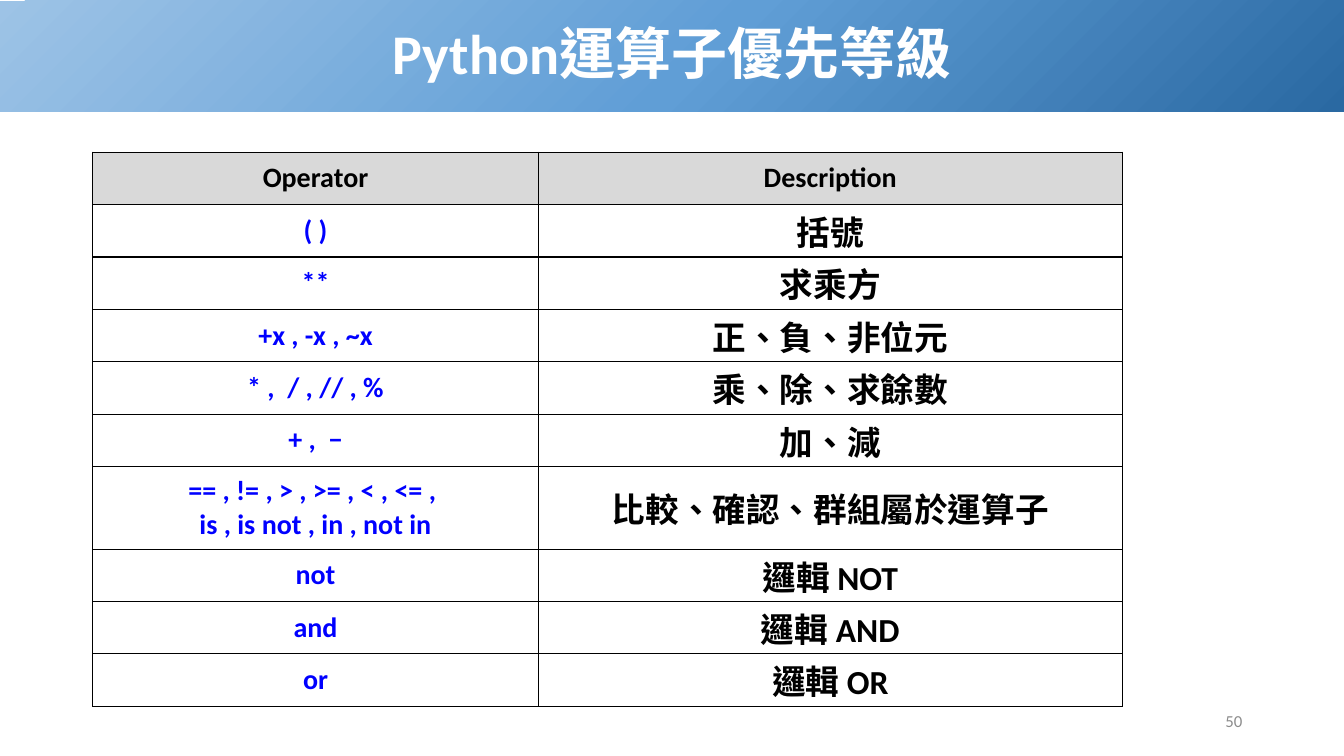
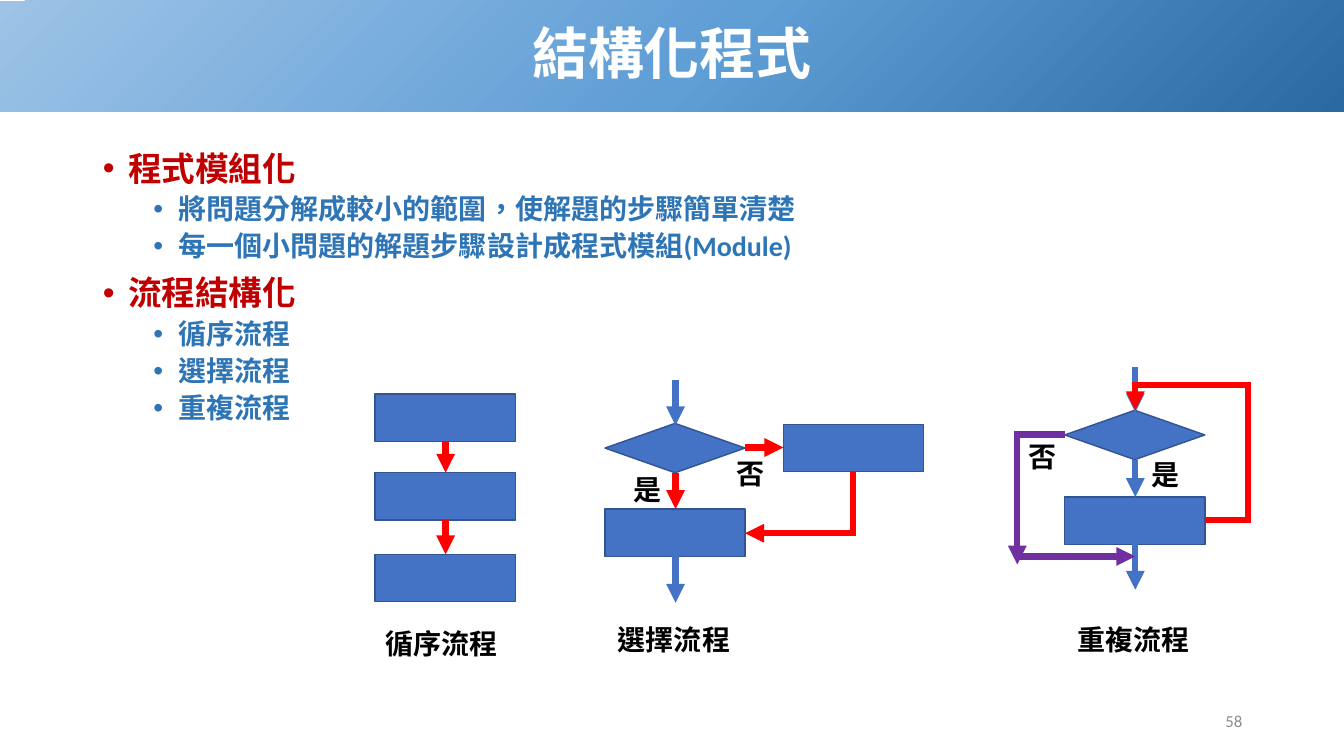
from pptx import Presentation
from pptx.dml.color import RGBColor
from pptx.enum.shapes import MSO_CONNECTOR as Connector, MSO_SHAPE as Shape
from pptx.enum.text import MSO_ANCHOR as Anchor, MSO_AUTO_SIZE as AutoSize, PP_ALIGN as Align
from pptx.oxml import parse_xml
from pptx.oxml.ns import nsdecls, qn
from pptx.util import Pt

PX = 9144
SLIDE_WIDTH, SLIDE_HEIGHT = 1333, 750
LATIN, CJK = "Calibri", "Noto Sans CJK SC"
WHITE = RGBColor(0xFF, 0xFF, 0xFF)
BLACK = RGBColor(0x00, 0x00, 0x00)
GRAY = RGBColor(0x8C, 0x8C, 0x8C)
HEADER_FILL = RGBColor(0xD9, 0xD9, 0xD9)
OPERATOR_BLUE = RGBColor(0x00, 0x00, 0xFF)
TOPIC_RED = RGBColor(0xC0, 0x00, 0x00)
DETAIL_BLUE = RGBColor(0x2E, 0x75, 0xB6)
NODE_FILL = RGBColor(0x44, 0x72, 0xC4)
NODE_LINE = RGBColor(0x32, 0x54, 0x91)
FLOW_RED = RGBColor(0xFF, 0x00, 0x00)
EXIT_PURPLE = RGBColor(0x70, 0x30, 0xA0)
BAND_STOPS = (
    (0, RGBColor(0x2A, 0x69, 0xA2)),
    (48, RGBColor(0x60, 0x9E, 0xD6)),
    (100, RGBColor(0x9D, 0xC3, 0xE6)),
)
NODE_WIDTH, NODE_HEIGHT, DECISION_HEIGHT = 139, 47, 49
AXIS = 70

OPERATORS = (
    ("Operator", "Description"),
    ("( )", "括號"),
    ("**", "求乘方"),
    ("+x , -x , ~x", "正、負、非位元"),
    ("* ,  / , // , %", "乘、除、求餘數"),
    ("+ ,  −", "加、減"),
    ("== , != , > , >= , < , <= , \nis , is not , in , not in", "比較、確認、群組屬於運算子"),
    ("not", "邏輯 NOT"),
    ("and", "邏輯 AND"),
    ("or", "邏輯 OR"),
)
OUTLINE = (
    ("程式模組化", (
        "將問題分解成較小的範圍，使解題的步驟簡單清楚",
        "每一個小問題的解題步驟設計成程式模組(Module)",
    )),
    ("流程結構化", ("循序流程", "選擇流程", "重複流程")),
)


def emu(*lengths):
    return [length * PX for length in lengths]


def xml(tag, attributes="", content=""):
    return parse_xml(f"<a:{tag} {nsdecls('a')} {attributes}>{content}</a:{tag}>")


def add_span(para, text, size, color, bold=True, face=LATIN):
    span = para.add_run()
    span.text = text
    font = span.font
    font.size, font.bold, font.name = Pt(size), bold, face
    font.color.rgb = color
    properties = span.font._element
    properties.set("lang", "zh-TW")
    properties.find(qn("a:latin")).addnext(xml("ea", f'typeface="{CJK}"'))


def place(item, left, top, width, height):
    item.left, item.top, item.width, item.height = emu(left, top, width, height)


def add_title(page, text):
    title = page.shapes.title
    place(title, 0, 1, SLIDE_WIDTH, 110)
    stops = "".join(
        f'<a:gs pos="{position * 1000}"><a:srgbClr val="{color}"/></a:gs>'
        for position, color in BAND_STOPS
    )
    title.element.spPr.append(xml(
        "gradFill", 'rotWithShape="1"',
        f'<a:gsLst>{stops}</a:gsLst>'
        '<a:path path="circle"><a:fillToRect l="100000" t="100000"/></a:path>'
        '<a:tileRect r="-100000" b="-100000"/>',
    ))
    frame = title.text_frame
    frame.auto_size = AutoSize.NONE
    frame.vertical_anchor = Anchor.MIDDLE
    para = frame.paragraphs[0]
    para.alignment, para.line_spacing = Align.CENTER, 0.9
    add_span(para, text, 40, WHITE)


def add_page_number(page, number):
    box = page.shapes.add_textbox(*emu(942, 695, 300, 40))
    frame = box.text_frame
    frame.word_wrap = True
    frame.vertical_anchor = Anchor.MIDDLE
    para = frame.paragraphs[0]
    para.alignment = Align.RIGHT
    add_span(para, str(number), 12, GRAY, bold=False)


def add_page(deck, layout, title, number):
    page = deck.slides.add_slide(deck.slide_layouts[layout])
    add_title(page, title)
    add_page_number(page, number)
    return page


def fill_cell(cell, text, size, color, fill):
    cell.margin_left = cell.margin_right = 4 * PX
    cell.margin_top = cell.margin_bottom = 2 * PX
    cell.vertical_anchor = Anchor.MIDDLE
    properties = cell._tc.get_or_add_tcPr()
    for side in ("lnL", "lnR", "lnT", "lnB"):
        properties.append(xml(
            side, f'w="{Pt(1)}"',
            f'<a:solidFill><a:srgbClr val="{BLACK}"/></a:solidFill>',
        ))
    cell.fill.solid()
    cell.fill.fore_color.rgb = fill
    frame = cell.text_frame
    for index, line in enumerate(text.split("\n")):
        para = frame.add_paragraph() if index else frame.paragraphs[0]
        para.alignment = Align.CENTER
        add_span(para, line, size, color)


def add_operator_table(page, left, top):
    widths = (442, 579)
    heights = [82 if "\n" in operator else 52 for operator, _ in OPERATORS]
    frame = page.shapes.add_table(
        len(OPERATORS), len(widths), *emu(left, top, sum(widths), sum(heights))
    )
    table = frame.table
    table.horz_banding = False
    for column, width in zip(table.columns, widths):
        column.width = width * PX
    for index, (row, height, texts) in enumerate(zip(table.rows, heights, OPERATORS)):
        row.height = height * PX
        styles = ((20, OPERATOR_BLUE, WHITE), (24, BLACK, WHITE))
        if index == 0:
            styles = ((20, BLACK, HEADER_FILL),) * 2
        for cell, text, style in zip(row.cells, texts, styles):
            fill_cell(cell, text, *style)


def add_bullet(frame, text, level, first):
    para = frame.paragraphs[0] if first else frame.add_paragraph()
    para.level = level
    properties = para._p.get_or_add_pPr()
    properties.set("marL", str((25 + 50 * level) * PX))
    properties.set("indent", str(-25 * PX))
    properties.append(xml("buFont", 'typeface="Arial"'))
    properties.append(xml("buChar", 'char="•"'))
    para.line_spacing = 0.9
    para.space_before = Pt(0 if first else (10, 5)[level])
    add_span(para, text, (24, 20)[level], (TOPIC_RED, DETAIL_BLUE)[level])


def add_outline(page, left, top, width, height):
    body = page.placeholders[1]
    place(body, left, top, width, height)
    frame = body.text_frame
    frame.auto_size = AutoSize.NONE
    for index, (topic, details) in enumerate(OUTLINE):
        add_bullet(frame, topic, 0, index == 0)
        for detail in details:
            add_bullet(frame, detail, 1, False)


class Flow:
    def __init__(self, page, left, top):
        self.shapes, self.left, self.top = page.shapes, left, top

    def at(self, x, y):
        return emu(self.left + x, self.top + y)

    def node(self, x, y, kind=Shape.RECTANGLE, height=NODE_HEIGHT):
        node = self.shapes.add_shape(kind, *self.at(x, y), *emu(NODE_WIDTH, height))
        node.shadow.inherit = False
        node.fill.solid()
        node.fill.fore_color.rgb = NODE_FILL
        node.line.color.rgb = NODE_LINE
        node.line.width = Pt(1)

    def decision(self, x, y):
        self.node(x, y, Shape.FLOWCHART_DECISION, DECISION_HEIGHT)

    def arrow(self, color, *points):
        corners = [self.at(*point) for point in points]
        if len(corners) == 2:
            arrow = self.shapes.add_connector(Connector.STRAIGHT, *corners[0], *corners[1])
        else:
            builder = self.shapes.build_freeform(*corners[0])
            builder.add_line_segments(corners[1:], close=False)
            arrow = builder.convert_to_shape()
            arrow.fill.background()
        arrow.line.color.rgb = color
        arrow.line.width = Pt(4.5)
        properties = arrow.element.spPr
        line = properties.find(qn("a:ln"))
        line.append(xml("miter", 'lim="800000"'))
        line.append(xml("tailEnd", 'type="triangle"'))
        properties.append(xml("effectLst"))

    def down(self, color, x, start, end):
        self.arrow(color, (x, start), (x, end))

    def label(self, text, x, y):
        box = self.shapes.add_textbox(*self.at(x, y), *emu(8 + 28 * len(text) + 12, 44))
        frame = box.text_frame
        frame.word_wrap = False
        frame.auto_size = AutoSize.SHAPE_TO_FIT_TEXT
        add_span(frame.paragraphs[0], text, 20, BLACK, face=CJK)


def add_sequence(page, left, top):
    flow = Flow(page, left, top)
    tops = (0, 78, 159)
    for y in tops:
        flow.node(0, y)
    for upper, lower in zip(tops, tops[1:]):
        flow.down(FLOW_RED, AXIS, upper + NODE_HEIGHT, lower)
    flow.label("循序流程", 0, 226)


def add_selection(page, left, top):
    flow = Flow(page, left, top)
    flow.decision(0, 43)
    flow.node(0, 128)
    flow.node(177, 44)
    flow.down(NODE_FILL, AXIS, 0, 45)
    flow.down(FLOW_RED, AXIS, 92, 128)
    flow.down(NODE_FILL, AXIS, 175, 221)
    flow.arrow(FLOW_RED, (139, 67), (177, 67))
    flow.arrow(FLOW_RED, (246, 91), (246, 152), (139, 152))
    flow.label("是", 18, 87)
    flow.label("否", 121, 71)
    flow.label("選擇流程", 3, 236)


def add_repetition(page, left, top):
    flow = Flow(page, left, top)
    axis = 47 + AXIS
    flow.decision(47, 43)
    flow.node(47, 129)
    for start, end in ((0, 45), (92, 129), (176, 221)):
        flow.down(NODE_FILL, axis, start, end)
    flow.arrow(FLOW_RED, (186, 152), (229, 152), (229, 18), (axis, 18), (axis, 43))
    flow.arrow(EXIT_PURPLE, (47, 67), (0, 67), (0, 196))
    flow.arrow(EXIT_PURPLE, (0, 188), (axis, 188))
    flow.label("是", 123, 85)
    flow.label("否", 1, 67)
    flow.label("重複流程", 50, 249)


def main():
    deck = Presentation()
    deck.slide_width, deck.slide_height = emu(SLIDE_WIDTH, SLIDE_HEIGHT)

    page = add_page(deck, 5, "Python運算子優先等級", 50)
    add_operator_table(page, 92, 151)

    page = add_page(deck, 1, "結構化程式", 58)
    add_outline(page, 92, 146, 1150, 546)
    add_sequence(page, 372, 391)
    add_selection(page, 600, 377)
    add_repetition(page, 1009, 364)

    deck.save("out.pptx")


if __name__ == "__main__":
    main()
